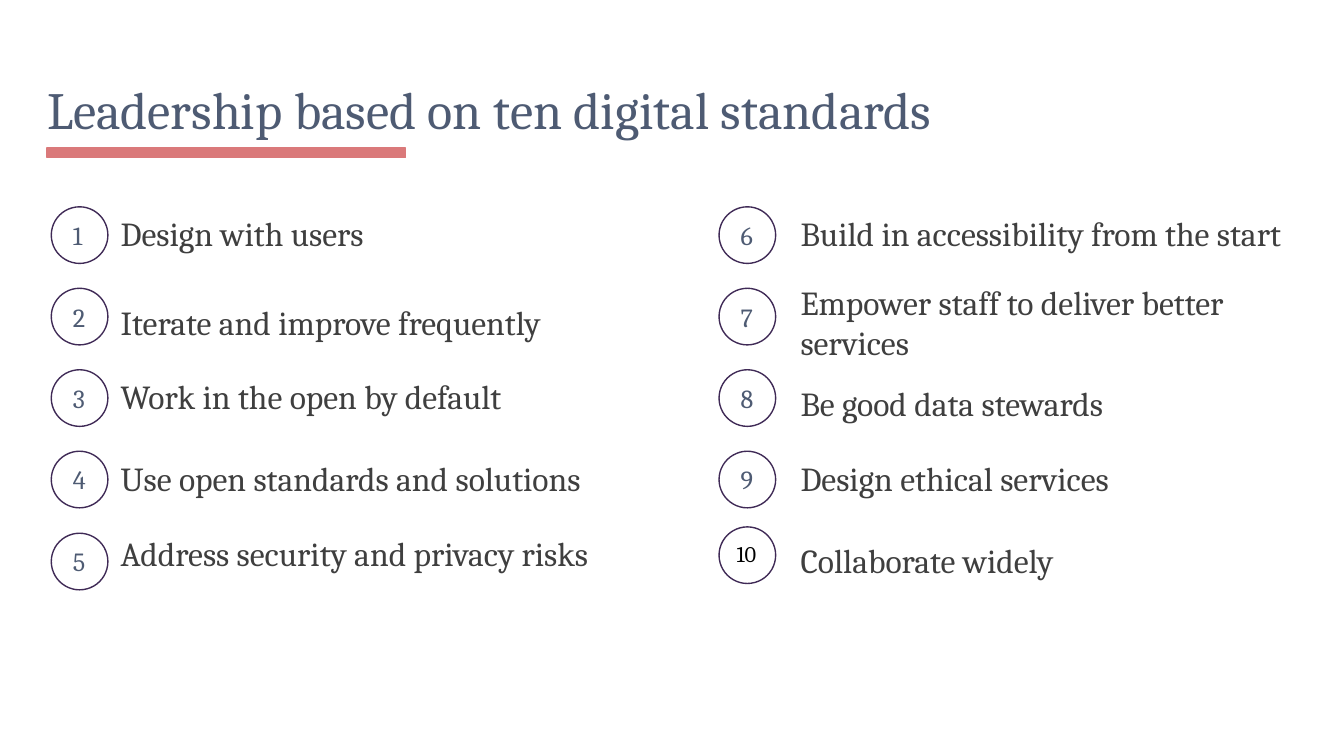
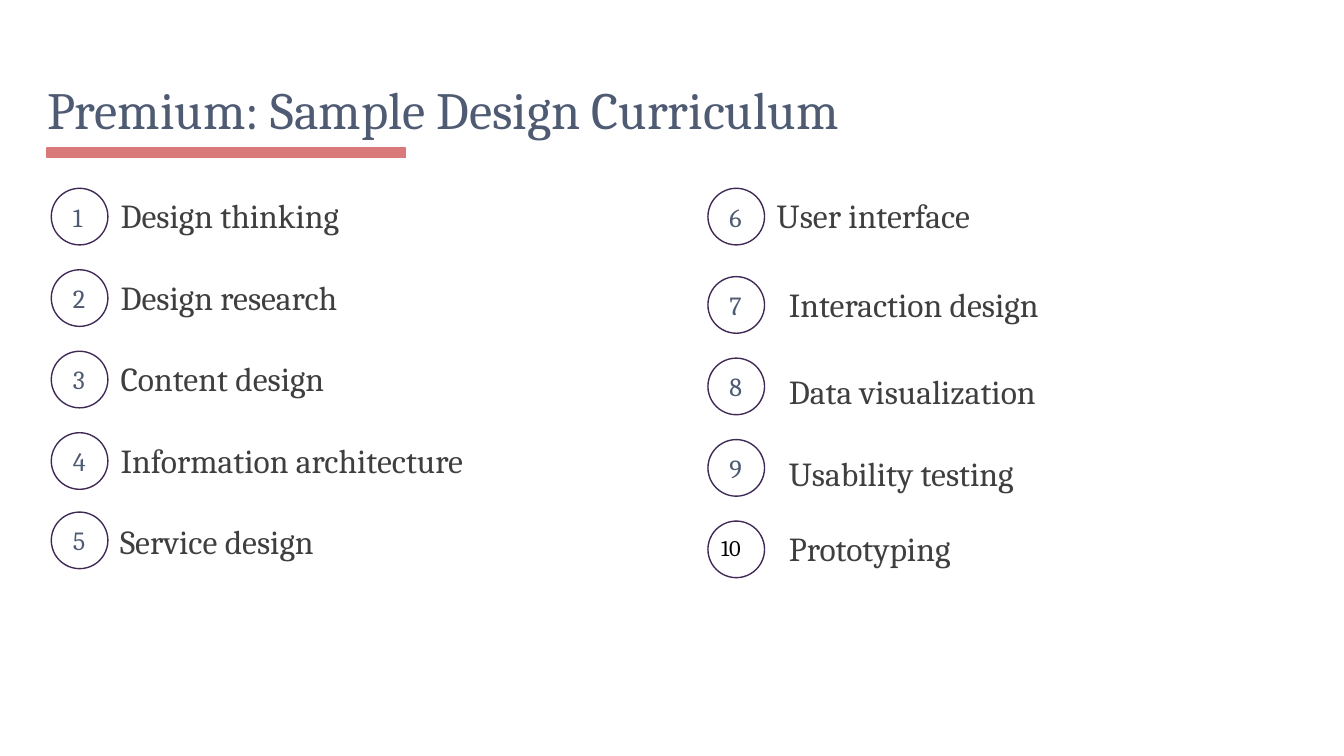
import pptx
import pptx.util
import pptx.dml.color
import pptx.enum.shapes
import pptx.enum.text

Cm = pptx.util.Cm
Pt = pptx.util.Pt
SHAPE = pptx.enum.shapes.MSO_SHAPE
ANCHOR = pptx.enum.text.MSO_ANCHOR

FONT = "Cambria"
SLATE = "4E5B73"
ROSE = "DA797A"
PLUM = "3F2A56"
GREY = "3F3F3F"
BLACK = "000000"
DISC = 1.07
INSET = 0.25


def tint(color, value):
    color.rgb = pptx.dml.color.RGBColor.from_string(value)


def write(shape, text, size, color, inset=INSET, anchor=ANCHOR.TOP):
    frame = shape.text_frame
    frame.word_wrap = True
    frame.auto_size = pptx.enum.text.MSO_AUTO_SIZE.NONE
    frame.vertical_anchor = anchor
    frame.margin_left = frame.margin_right = Cm(inset)
    frame.margin_top = frame.margin_bottom = Cm(inset)
    para = frame.paragraphs[0]
    para.alignment = pptx.enum.text.PP_ALIGN.LEFT
    run = para.add_run()
    run.text = text
    run.font.name = FONT
    run.font.size = Pt(size)
    tint(run.font.color, color)
    return para


# Each item: text, disc top, then left, top, width and height of its label.
pages = [
    ("Leadership based on ten digital standards", 13.59, 13.67, [
        ("Design with users", 3.91, 2.03, 3.78, 6.65, 1.32),
        ("Iterate and improve frequently", 5.45, 2.03, 5.46, 9.35, 1.07),
        ("Work in the open by default", 6.99, 2.03, 6.86, 10.26, 1.32),
        ("Use open standards and solutions", 8.53, 2.03, 8.41, 10.26, 1.32),
        ("Address security and privacy risks", 10.08, 2.03, 9.83, 10.26, 1.32),
        ("Build in accessibility from the start", 3.91, 14.88, 3.78, 10.87, 1.32),
        ("Empower staff to deliver better services", 5.45, 14.88, 5.08, 10.26, 1.8),
        ("Be good data stewards", 6.99, 14.88, 6.99, 10.26, 1.32),
        ("Design ethical services", 8.53, 14.88, 8.41, 6.88, 1.32),
        ("Collaborate widely", 9.96, 14.88, 9.96, 6.88, 1.32),
    ]),
    ("Premium: Sample Design Curriculum", 13.38, 13.38, [
        ("Design thinking", 3.56, 2.03, 3.43, 8.26, 1.32),
        ("Design research", 5.1, 2.03, 4.98, 9.35, 1.07),
        ("Content design", 6.64, 2.03, 6.52, 10.26, 1.32),
        ("Information architecture", 8.18, 2.03, 8.06, 10.26, 1.32),
        ("Service design", 9.68, 2.02, 9.6, 10.26, 1.32),
        ("User interface", 3.56, 14.43, 3.43, 10.87, 1.32),
        ("Interaction design", 5.23, 14.66, 5.11, 10.26, 1.8),
        ("Data visualization", 6.77, 14.66, 6.76, 10.74, 1.32),
        ("Usability testing", 8.31, 14.66, 8.31, 8.86, 1.32),
        ("Prototyping", 9.85, 14.66, 9.73, 9.55, 2.26),
    ]),
]

deck = pptx.Presentation()
deck.slide_width = Cm(25.4)
deck.slide_height = Cm(14.29)

for heading, right, ten, items in pages:
    slide = deck.slides.add_slide(deck.slide_layouts[5])
    shapes = slide.shapes

    title = shapes.title
    title.left, title.top = Cm(0.89), Cm(0.41)
    title.width, title.height = Cm(23.62), Cm(2.26)
    para = write(title, heading, 28, SLATE, 0, ANCHOR.BOTTOM)
    para.line_spacing = 0.9

    bar = shapes.add_shape(SHAPE.RECTANGLE, Cm(0.89), Cm(2.8), Cm(6.78), Cm(0.18))
    bar.shadow.inherit = False
    bar.fill.solid()
    tint(bar.fill.fore_color, ROSE)
    tint(bar.line.color, ROSE)
    bar.line.width = Pt(0.75)

    for num, (text, top, left, high, width, height) in enumerate(items, 1):
        side = 0.97 if num <= 5 else right
        disc = shapes.add_shape(SHAPE.OVAL, Cm(side), Cm(top), Cm(DISC), Cm(DISC))
        disc.shadow.inherit = False
        disc.fill.background()
        tint(disc.line.color, PLUM)
        disc.line.width = Pt(0.75)
        if num < 10:
            write(disc, str(num), 14, SLATE, anchor=ANCHOR.MIDDLE)
        else:
            count = shapes.add_textbox(Cm(ten), Cm(top), Cm(DISC), Cm(DISC))
            write(count, str(num), 12, BLACK)

        label = shapes.add_textbox(Cm(left), Cm(high), Cm(width), Cm(height))
        write(label, text, 18, GREY)

deck.save("out.pptx")
